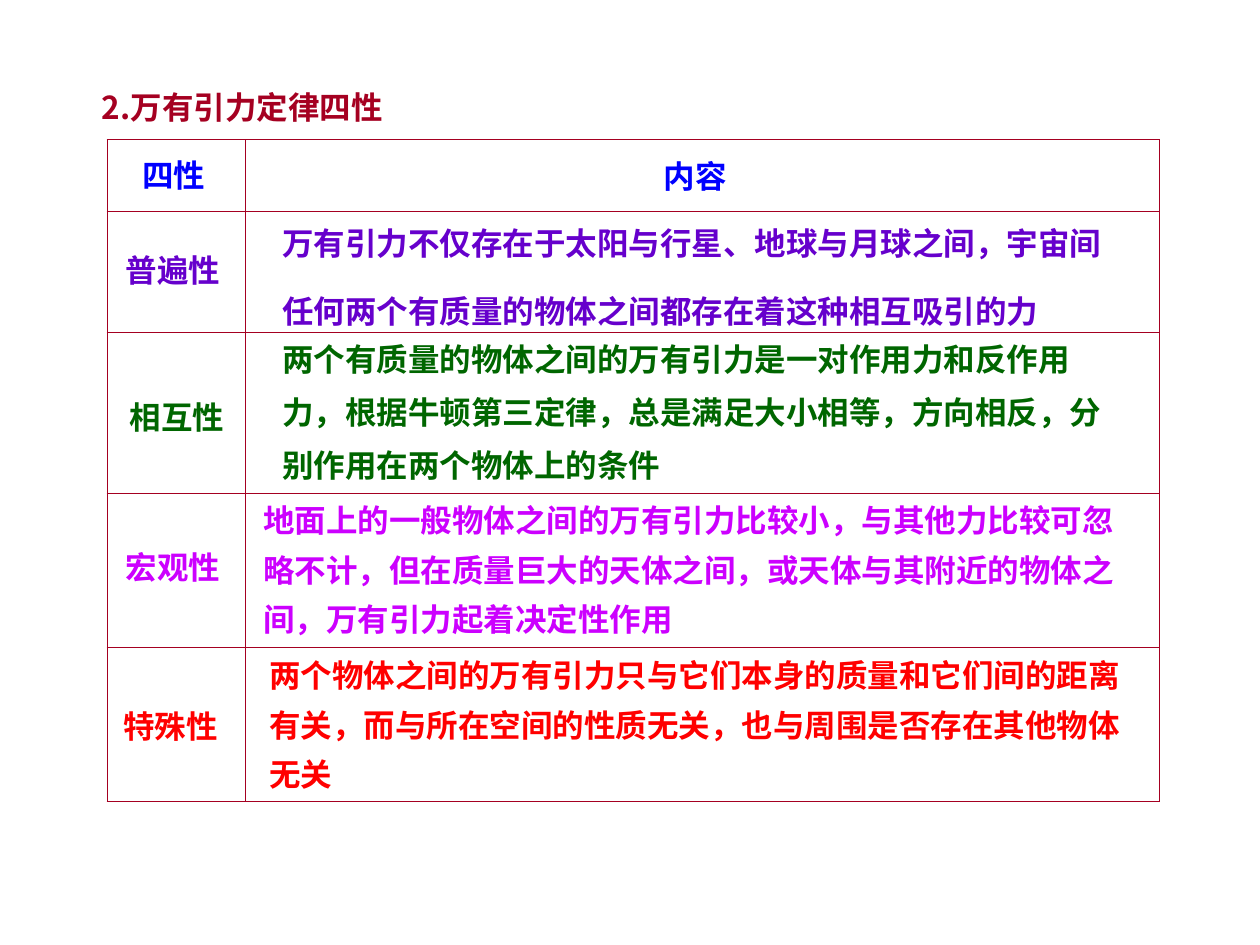
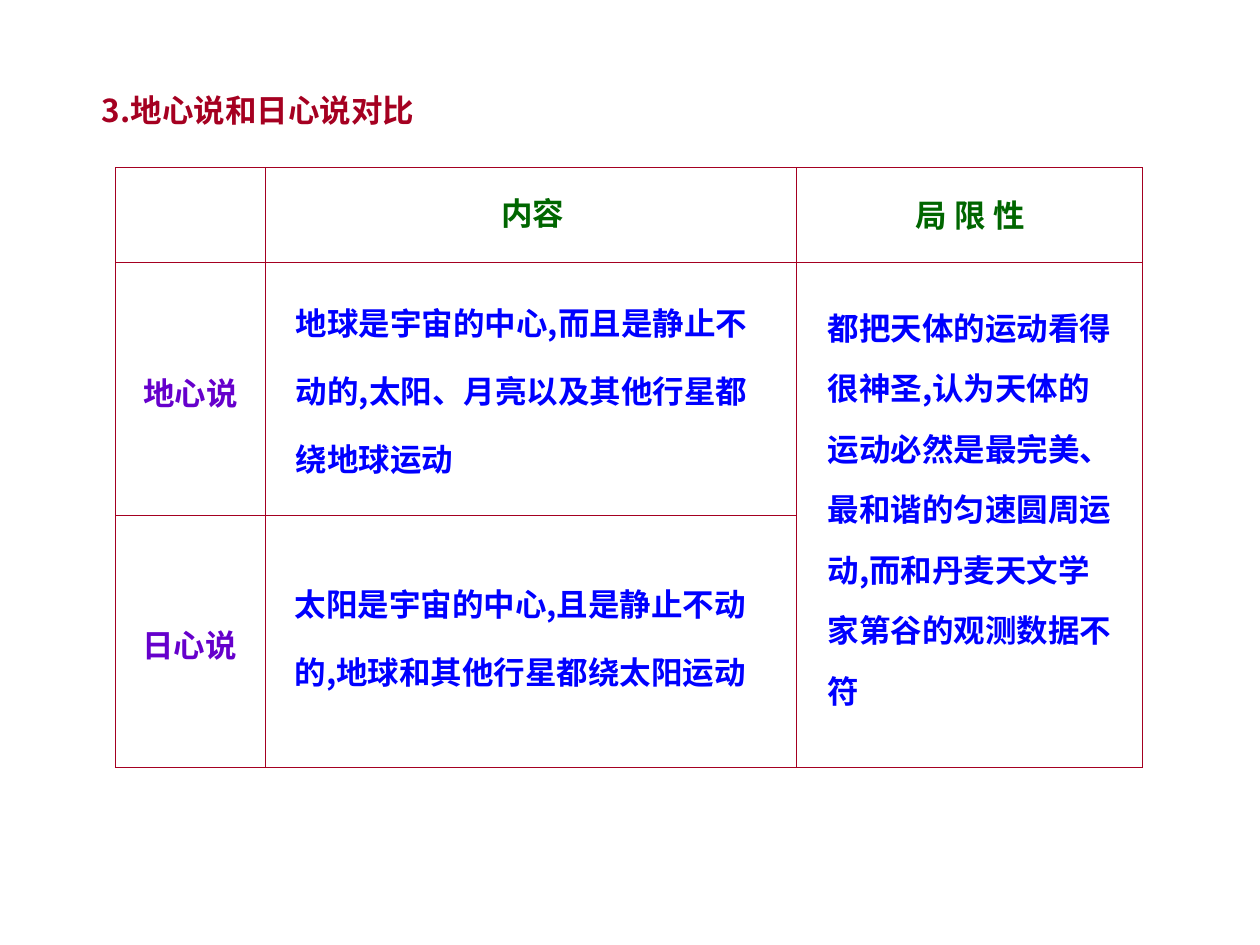
from lxml import etree
from pptx import Presentation
from pptx.dml.color import RGBColor
from pptx.enum.text import MSO_ANCHOR, MSO_AUTO_SIZE
from pptx.oxml.ns import qn
from pptx.util import Pt

PX = 9144  # 100 px to the inch
SLIDE_WIDTH, SLIDE_HEIGHT = 1000, 750

FONT = "Noto Sans CJK SC"
FONT_SIZE = 18
LINE_HEIGHT = 30
BOX_PADDING = 10
LABEL_SPACING = 1.1
OUTER_BORDER, INNER_BORDER = Pt(0.75), Pt(0.45)

CRIMSON = RGBColor(0xA5, 0x00, 0x21)
BLUE = RGBColor(0x00, 0x00, 0xFF)
PURPLE = RGBColor(0x66, 0x00, 0xCC)
GREEN = RGBColor(0x00, 0x66, 0x00)
MAGENTA = RGBColor(0xCC, 0x00, 0xFF)
RED = RGBColor(0xFF, 0x00, 0x00)

MIDDLE = MSO_ANCHOR.MIDDLE
GROW = MSO_AUTO_SIZE.SHAPE_TO_FIT_TEXT

FRAME_FORMAT = {"word_wrap": True, "vertical_anchor": MIDDLE, "auto_size": GROW}
FONT_FORMAT = {"name": FONT, "size": Pt(FONT_SIZE), "bold": True}
PLAIN_TABLE = {"first_row": False, "horz_banding": False}

# Text items: left, top, width, colour, line spacing, lines
PROPERTY_TEXTS = [
    (103, 116, 116, BLUE, LABEL_SPACING, ["四性"]),
    (517, 117, 116, BLUE, LABEL_SPACING, ["内容"]),
    (90, 191, 116, PURPLE, LABEL_SPACING, ["普遍性"]),
    (93, 308, 116, GREEN, LABEL_SPACING, ["相互性"]),
    (90, 427, 116, MAGENTA, LABEL_SPACING, ["宏观性"]),
    (88, 553, 116, RED, LABEL_SPACING, ["特殊性"]),
    (214, 149, 759, PURPLE, 1.8, [
        "万有引力不仅存在于太阳与行星、地球与月球之间，宇宙间",
        "任何两个有质量的物体之间都存在着这种相互吸引的力"]),
    (214, 253, 748, GREEN, 1.4, [
        "两个有质量的物体之间的万有引力是一对作用力和反作用",
        "力，根据牛顿第三定律，总是满足大小相等，方向相反，分",
        "别作用在两个物体上的条件"]),
    (199, 384, 768, MAGENTA, 1.3, [
        "地面上的一般物体之间的万有引力比较小，与其他力比较可忽",
        "略不计，但在质量巨大的天体之间，或天体与其附近的物体之",
        "间，万有引力起着决定性作用"]),
    (204, 507, 752, RED, 1.3, [
        "两个物体之间的万有引力只与它们本身的质量和它们间的距离",
        "有关，而与所在空间的性质无关，也与周围是否存在其他物体",
        "无关"]),
]

COMPARISON_TEXTS = [
    (388, 146, 113, GREEN, LABEL_SPACING, ["内容"]),
    (717, 148, 186, GREEN, LABEL_SPACING, ["局 限 性"]),
    (104, 289, 129, PURPLE, LABEL_SPACING, ["地心说"]),
    (103, 489, 129, PURPLE, LABEL_SPACING, ["日心说"]),
    (225, 212, 477, BLUE, 1.8, [
        "地球是宇宙的中心,而且是静止不",
        "动的,太阳、月亮以及其他行星都",
        "绕地球运动"]),
    (224, 435, 455, BLUE, 1.8, [
        "太阳是宇宙的中心,且是静止不动",
        "的,地球和其他行星都绕太阳运动"]),
    (647, 222, 311, BLUE, 1.6, [
        "都把天体的运动看得",
        "很神圣,认为天体的",
        "运动必然是最完美、",
        "最和谐的匀速圆周运",
        "动,而和丹麦天文学",
        "家第谷的观测数据不",
        "符"]),
]


def px(length):
    return round(length * PX)


def apply_format(target, values):
    for name, value in values.items():
        setattr(target, name, value)


def add_text(slide, left, top, width, colour, spacing, lines):
    """Add a text box with one paragraph per line; its height follows the lines."""
    height = BOX_PADDING + LINE_HEIGHT * spacing * len(lines)
    frame = slide.shapes.add_textbox(px(left), px(top), px(width), px(height)).text_frame
    apply_format(frame, FRAME_FORMAT)
    for index, line in enumerate(lines):
        paragraph = frame.paragraphs[0] if index == 0 else frame.add_paragraph()
        paragraph.line_spacing = spacing
        run = paragraph.add_run()
        run.text = line
        apply_format(run.font, FONT_FORMAT)
        run.font.color.rgb = colour
        east_asian = etree.SubElement(run.font._element, qn("a:ea"))
        east_asian.set("typeface", FONT)


def set_borders(cell, widths):
    """Draw the cell borders; widths run left, right, top, bottom."""
    properties = cell._tc.get_or_add_tcPr()
    for position, (side, width) in enumerate(zip("LRTB", widths)):
        line = etree.Element(qn(f"a:ln{side}"), w=str(width))
        fill = etree.SubElement(line, qn("a:solidFill"))
        etree.SubElement(fill, qn("a:srgbClr"), val=str(CRIMSON))
        properties.insert(position, line)


def add_grid(slide, left, top, columns, rows, merged=None):
    """Add an empty ruled table; merged holds the two corners of a merged area."""
    frame = slide.shapes.add_table(len(rows), len(columns), px(left), px(top),
                                   px(sum(columns)), px(sum(rows)))
    table = frame.table
    apply_format(table, PLAIN_TABLE)
    for column, width in zip(table.columns, columns):
        column.width = px(width)
    for row, height in zip(table.rows, rows):
        row.height = px(height)
    if merged:
        first, last = merged
        table.cell(*first).merge(table.cell(*last))

    for row_index in range(len(rows)):
        for column_index in range(len(columns)):
            cell = table.cell(row_index, column_index)
            cell.fill.background()
            if cell.is_spanned:
                continue
            row_span = cell.span_height if cell.is_merge_origin else 1
            on_edge = (column_index == 0, column_index == len(columns) - 1,
                       row_index == 0, row_index + row_span == len(rows))
            set_borders(cell, [OUTER_BORDER if edge else INNER_BORDER for edge in on_edge])


def add_table_slide(presentation, title, grid, texts):
    """Add a slide with a heading, a ruled table and the texts over it."""
    slide = presentation.slides.add_slide(presentation.slide_layouts[6])
    heading, top, width = title
    add_text(slide, 71, top, width, CRIMSON, LABEL_SPACING, [heading])
    add_grid(slide, **grid)
    for item in texts:
        add_text(slide, *item)


def main():
    presentation = Presentation()
    presentation.slide_width = px(SLIDE_WIDTH)
    presentation.slide_height = px(SLIDE_HEIGHT)

    # Four properties of universal gravitation
    property_grid = {"left": 85, "top": 111, "columns": [110, 725],
                     "rows": [57, 96, 128, 122, 122]}
    add_table_slide(presentation, ("2.万有引力定律四性", 62, 306),
                    property_grid, PROPERTY_TEXTS)

    # Geocentric and heliocentric models
    comparison_grid = {"left": 92, "top": 133, "columns": [119, 421, 275],
                       "rows": [75, 201, 200], "merged": ((1, 2), (2, 2))}
    add_table_slide(presentation, ("3.地心说和日心说对比", 64, 402),
                    comparison_grid, COMPARISON_TEXTS)

    presentation.save("out.pptx")


if __name__ == "__main__":
    main()
